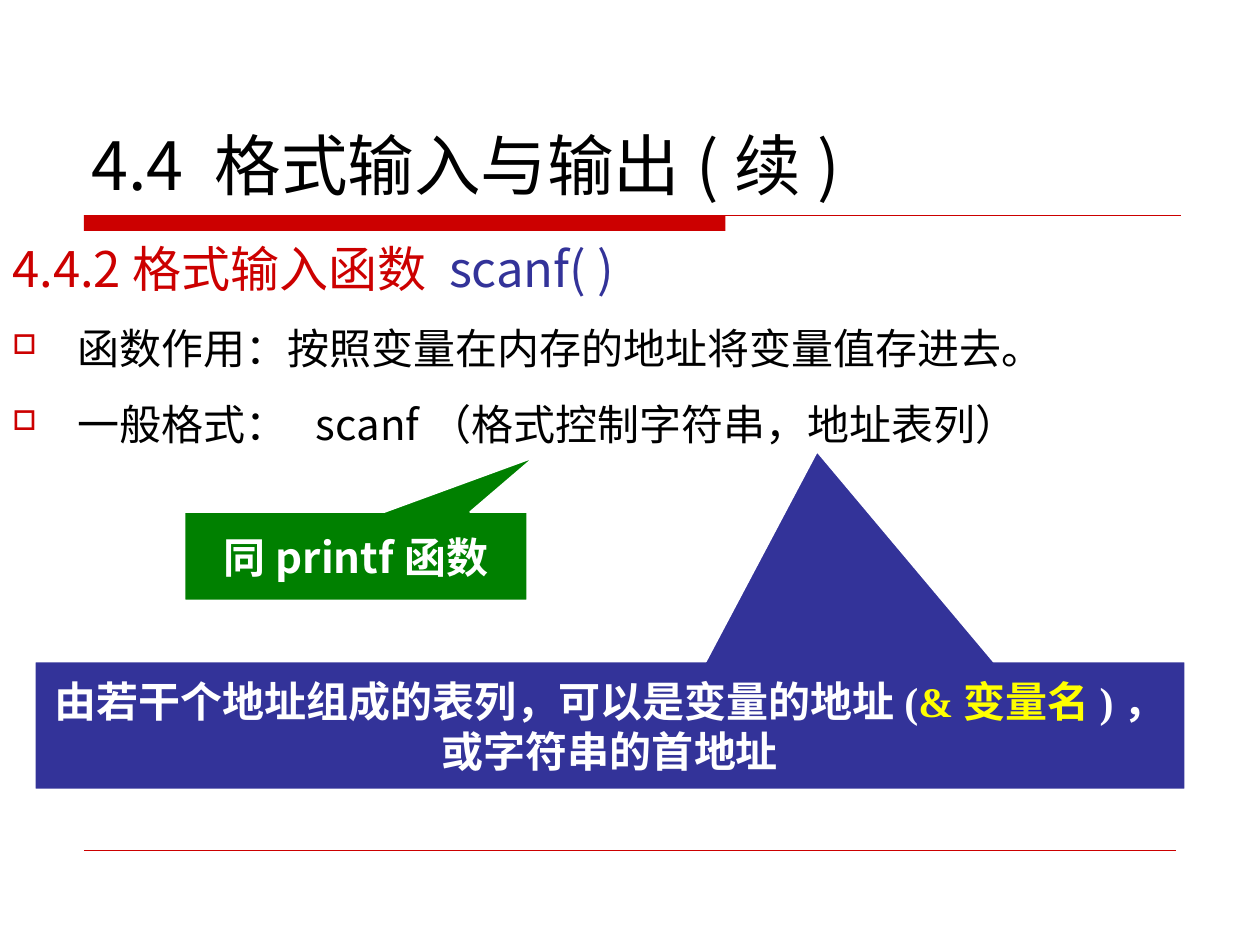
"""Build the slide on formatted input with scanf."""
import pptx
import pptx.dml.color
import pptx.enum.shapes
import pptx.enum.text
import pptx.oxml.ns
import pptx.util
from lxml import etree

Pt = pptx.util.Pt
RGB = pptx.dml.color.RGBColor
SHAPE = pptx.enum.shapes.MSO_SHAPE
ANCHOR = pptx.enum.text.MSO_ANCHOR
ALIGN = pptx.enum.text.PP_ALIGN
qn = pptx.oxml.ns.qn

RED = RGB(0xCC, 0x00, 0x00)
BLUE = RGB(0x33, 0x33, 0x99)
GREEN = RGB(0x00, 0x80, 0x00)
YELLOW = RGB(0xFF, 0xFF, 0x00)
WHITE = RGB(0xFF, 0xFF, 0xFF)
BLACK = RGB(0x00, 0x00, 0x00)
SANS = "Noto Sans CJK SC"
SERIF = "Times New Roman"


class Deck:
    def __init__(self, width, height):
        self.prs = pptx.Presentation()
        self.prs.slide_width, self.prs.slide_height = Pt(width), Pt(height)
        self.s = self.prs.slides.add_slide(self.prs.slide_layouts[5])

    def apply(self, obj, **values):
        for name, value in values.items():
            setattr(obj, name, value)

    def frame(self, sp, anchor):
        self.apply(sp.text_frame, word_wrap=True, vertical_anchor=anchor,
                   auto_size=pptx.enum.text.MSO_AUTO_SIZE.NONE,
                   margin_left=Pt(7.2), margin_right=Pt(7.2),
                   margin_top=Pt(3.6), margin_bottom=Pt(3.6))
        return sp.text_frame

    def bullet(self, p, char, color):
        pPr = p._p.get_or_add_pPr()
        clr = etree.SubElement(pPr, qn("a:buClr"))
        etree.SubElement(clr, qn("a:srgbClr"), val=str(color))
        etree.SubElement(pPr, qn("a:buSzPct"), val="65000")
        etree.SubElement(pPr, qn("a:buChar"), char=char)

    def runs(self, p, parts, size, latin=SANS, bold=False):
        for text, color in parts:
            r = p.add_run()
            r.text = text
            self.apply(r.font, size=Pt(size), bold=bold, name=latin)
            r.font.color.rgb = color
            etree.SubElement(r._r.get_or_add_rPr(), qn("a:ea"), typeface=SANS)

    def title(self, box, text, size):
        sp = self.s.shapes.title
        self.apply(sp, **dict(zip(("left", "top", "width", "height"), map(Pt, box))))
        p = self.frame(sp, ANCHOR.BOTTOM).paragraphs[0]
        p.alignment = ALIGN.LEFT
        self.runs(p, [(text, BLACK)], size)

    def body(self, box, heading, items):
        tf = self.frame(self.s.shapes.add_textbox(*map(Pt, box)), ANCHOR.TOP)
        p = tf.paragraphs[0]
        p.line_spacing = 1.3
        self.runs(p, heading, 28)
        for item in items:
            p = tf.add_paragraph()
            self.bullet(p, "□", RED)
            pPr = p._p.get_or_add_pPr()
            pPr.set("marL", str(Pt(37)))
            pPr.set("indent", str(Pt(-37)))
            self.apply(p, line_spacing=1.3, space_before=Pt(6))
            self.runs(p, [(item, BLACK)], 24)

    def shape(self, kind, box, fill):
        sp = self.s.shapes.add_shape(kind, *map(Pt, box))
        sp.shadow.inherit = False
        sp.fill.solid()
        sp.fill.fore_color.rgb = fill
        sp.line.fill.background()
        return sp

    def line(self, x1, x2, y, width):
        sp = self.s.shapes.add_connector(
            pptx.enum.shapes.MSO_CONNECTOR.STRAIGHT, Pt(x1), Pt(y), Pt(x2), Pt(y))
        sp.line.color.rgb = RED
        sp.line.width = Pt(width)
        etree.SubElement(sp._element.spPr, qn("a:effectLst"))

    def callout(self, box, fill, tip, paragraphs, latin):
        sp = self.shape(SHAPE.RECTANGULAR_CALLOUT, box, fill)
        sp.line.color.rgb = WHITE
        sp.line.width = Pt(1)
        sp.adjustments[0], sp.adjustments[1] = tip
        tf = self.frame(sp, ANCHOR.MIDDLE)
        for i, parts in enumerate(paragraphs):
            p = tf.add_paragraph() if i else tf.paragraphs[0]
            p.alignment = ALIGN.CENTER
            self.runs(p, parts, 24, latin, True)


def main():
    deck = Deck(720, 540)
    deck.shape(SHAPE.RECTANGLE, (48, 123, 366.5, 9), RED)
    deck.line(48, 675, 123, 0.75)
    deck.line(48, 672, 486, 0.25)
    deck.title((45, 24, 630, 96), "4.4 格式输入与输出(续)", 38)
    deck.body((0, 122.5, 720, 353.5),
              [("4.4.2格式输入函数 ", RED), ("scanf( )", BLUE)],
              ["函数作用：按照变量在内存的地址将变量值存进去。",
               "一般格式：  scanf（格式控制字符串，地址表列）"])
    deck.callout((105.4, 292.6, 196, 50.5), GREEN, (0.52, -1.12),
                 [[("同printf函数", WHITE)]], SANS)
    deck.callout((19.8, 378, 657.5, 73.2), BLUE, (0.18, -2.14),
                 [[("由若干个地址组成的表列，可以是变量的地址(", WHITE),
                   ("&变量名", YELLOW), (")，", WHITE)],
                  [("或字符串的首地址", WHITE)]], SERIF)
    deck.prs.save("out.pptx")


if __name__ == "__main__":
    main()
